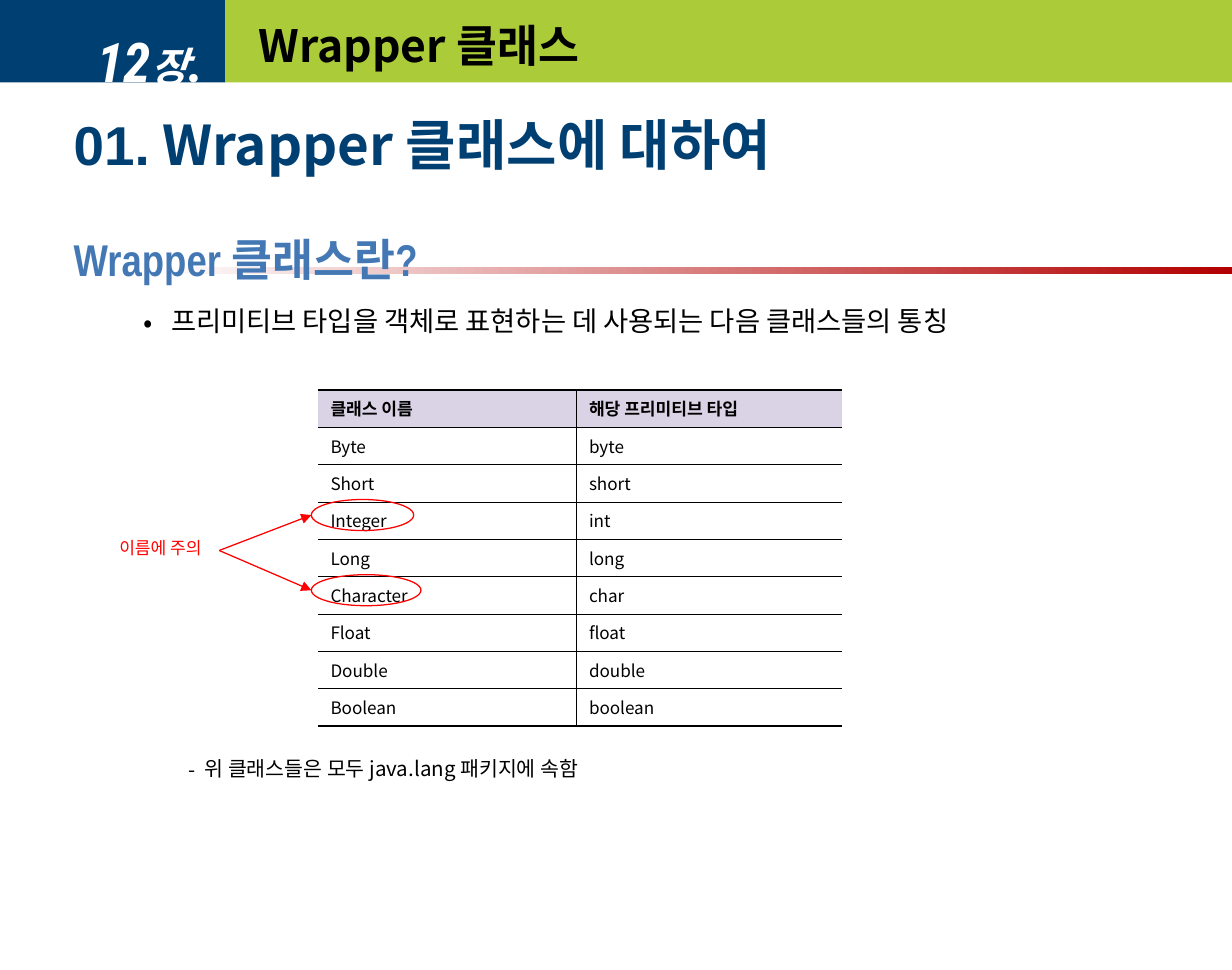
from lxml.etree import SubElement
from pptx import Presentation
from pptx.dml.color import RGBColor
from pptx.enum.shapes import MSO_CONNECTOR as LINK, MSO_SHAPE as SHAPE
from pptx.enum.text import MSO_ANCHOR as ANCHOR, PP_ALIGN as ALIGN
from pptx.oxml.ns import qn
from pptx.util import Cm, Pt

COLOURS = {
    "navy": "003F71", "green": "ACCB39", "blue": "4378B5", "red": "FF0000",
    "crimson": "B20000", "lilac": "DAD3E5", "black": "000000", "white": "FFFFFF",
}
SANS = "Noto Sans CJK KR"
THIN, THICK = 0.45, 1.08
WRAPPERS = [
    ("클래스 이름", "해당 프리미티브 타입"),
    ("Byte", "byte"), ("Short", "short"), ("Integer", "int"),
    ("Long", "long"), ("Character", "char"), ("Float", "float"),
    ("Double", "double"), ("Boolean", "boolean"),
]


def colour(name):
    """Return the named colour."""
    return RGBColor.from_string(COLOURS[name])


def write(para, text, size=10, ink="black", face=SANS, bold=False, italic=False):
    """Add a formatted span to a paragraph."""
    span = para.add_run()
    span.text = text
    font = span.font
    font.size, font.bold, font.italic = Pt(size), bold, italic
    font.color.rgb = colour(ink)
    font.name = face
    SubElement(font._element, qn("a:ea"), typeface=SANS)


class Painter:
    """Hold the style and the current page, and draw elements on it."""

    def __init__(self, page, line_width=0.75):
        self.page = page
        self.line_width = line_width

    def shape(self, kind, left, top, width, height, fill=None, line=None):
        """Draw a preset shape."""
        shape = self.page.shapes.add_shape(kind, Cm(left), Cm(top), Cm(width), Cm(height))
        shape.shadow.inherit = False
        if fill:
            shape.fill.solid()
            shape.fill.fore_color.rgb = colour(fill)
        else:
            shape.fill.background()
        if line:
            shape.line.color.rgb = colour(line)
            shape.line.width = Pt(self.line_width)
        else:
            shape.line.fill.background()
        return shape

    def fade(self, left, top, width, height, start, end):
        """Draw a bar that fades from right to left."""
        bar = self.shape(SHAPE.RECTANGLE, left, top, width, height)
        bar.fill.gradient()
        bar.fill.gradient_angle = 180
        for stop, name in zip(bar.fill.gradient_stops, (start, end)):
            stop.color.rgb = colour(name)

    def text(self, left, top, width, height, anchor=ANCHOR.TOP, align=ALIGN.LEFT, wrap=True):
        """Add a text box and return its first paragraph."""
        box = self.page.shapes.add_textbox(Cm(left), Cm(top), Cm(width), Cm(height))
        frame = box.text_frame
        frame.word_wrap, frame.vertical_anchor = wrap, anchor
        para = frame.paragraphs[0]
        para.alignment = align
        return para

    def item(self, left, top, width, height, mark, indent, text, size):
        """Add a bulleted line."""
        para = self.text(left, top, width, height)
        props = para._p.get_or_add_pPr()
        props.set("marL", str(Cm(indent)))
        props.set("indent", str(-Cm(indent)))
        SubElement(props, qn("a:buFont"), typeface=SANS)
        SubElement(props, qn("a:buChar"), char=mark)
        write(para, text, size=size)

    def arrow(self, start, end, ink):
        """Draw a straight arrow."""
        arrow = self.page.shapes.add_connector(LINK.STRAIGHT, *map(Cm, start + end))
        arrow.line.color.rgb = colour(ink)
        arrow.line.width = Pt(self.line_width)
        SubElement(arrow.line._get_or_add_ln(), qn("a:tailEnd"), type="triangle")
        SubElement(arrow._element.spPr, qn("a:effectLst"))

    def border(self, cell, side, width):
        """Set one border of a cell; a zero width hides it."""
        line = SubElement(cell._tc.get_or_add_tcPr(), qn(f"a:ln{side}"), w=str(Pt(width)))
        if width:
            fill = SubElement(line, qn("a:solidFill"))
            SubElement(fill, qn("a:srgbClr"), val=COLOURS["black"])
        else:
            SubElement(line, qn("a:noFill"))

    def table(self, left, top, widths, row_height, rows):
        """Draw a ruled table with a shaded header row."""
        frame = self.page.shapes.add_table(
            len(rows), len(widths), Cm(left), Cm(top),
            Cm(sum(widths)), Cm(row_height * len(rows)))
        table = frame.table
        table.first_row = table.horz_banding = False
        for column, width in zip(table.columns, widths):
            column.width = Cm(width)
        last_row, last_column = len(rows) - 1, len(widths) - 1
        for i, row in enumerate(rows):
            table.rows[i].height = Cm(row_height)
            for j, text in enumerate(row):
                cell = table.cell(i, j)
                self.border(cell, "L", THIN if j else 0)
                self.border(cell, "R", THIN if j < last_column else 0)
                self.border(cell, "T", THIN if i else THICK)
                self.border(cell, "B", THIN if i < last_row else THICK)
                if i == 0:
                    cell.fill.solid()
                    cell.fill.fore_color.rgb = colour("lilac")
                else:
                    cell.fill.background()
                write(cell.text_frame.paragraphs[0], text, bold=i == 0)


def main():
    """Build the page about wrapper classes."""
    deck = Presentation()
    deck.slide_width, deck.slide_height = Cm(25.4), Cm(20)
    painter = Painter(deck.slides.add_slide(deck.slide_layouts[6]))

    painter.shape(SHAPE.RECTANGLE, 0, 0, 4.65, 1.7, fill="navy")
    chapter = painter.text(0, 0.2, 4.45, 2.1, anchor=ANCHOR.MIDDLE, align=ALIGN.RIGHT)
    for text, size in (("12", 32), ("장", 24), (".", 32)):
        write(chapter, text, size=size, ink="white", face="Roboto Condensed",
              bold=True, italic=True)
    painter.shape(SHAPE.RECTANGLE, 4.65, 0, 20.75, 1.7, fill="green")
    title = painter.text(5.08, 0.17, 19.9, 1.52, anchor=ANCHOR.MIDDLE)
    write(title, "Wrapper 클래스", size=26, bold=True)

    painter.fade(3.18, 5.5, 22.22, 0.15, "crimson", "white")
    section = painter.text(1.27, 2.15, 22.8, 1.9)
    write(section, "01.", size=32, ink="navy", face="Arial", bold=True)
    write(section, " Wrapper 클래스에 대하여", size=32, ink="navy", bold=True)
    heading = painter.text(1.27, 4.65, 22.8, 1.6)
    write(heading, "Wrapper 클래스란?", size=26, ink="blue", face="Arial Narrow", bold=True)
    painter.item(2.7, 6.15, 21.4, 1.1, "•", 0.58,
                 "프리미티브 타입을 객체로 표현하는 데 사용되는 다음 클래스들의 통칭", 16)
    painter.item(3.63, 15.47, 20.4, 0.9, "-", 0.34,
                 "위 클래스들은 모두 java.lang 패키지에 속함", 12)

    painter.table(6.56, 8.04, (5.33, 5.47), 0.77, WRAPPERS)

    label = painter.text(2.21, 10.95, 2.2, 0.7, wrap=False)
    write(label, "이름에 주의", ink="red")
    left, height = 6.42, 0.64
    for top, width in ((10.3, 2.11), (11.85, 2.26)):
        painter.shape(SHAPE.OVAL, left, top, width, height, line="red")
        painter.arrow((4.52, 11.35), (left, top + height / 2), "red")

    deck.save("out.pptx")


if __name__ == "__main__":
    main()
